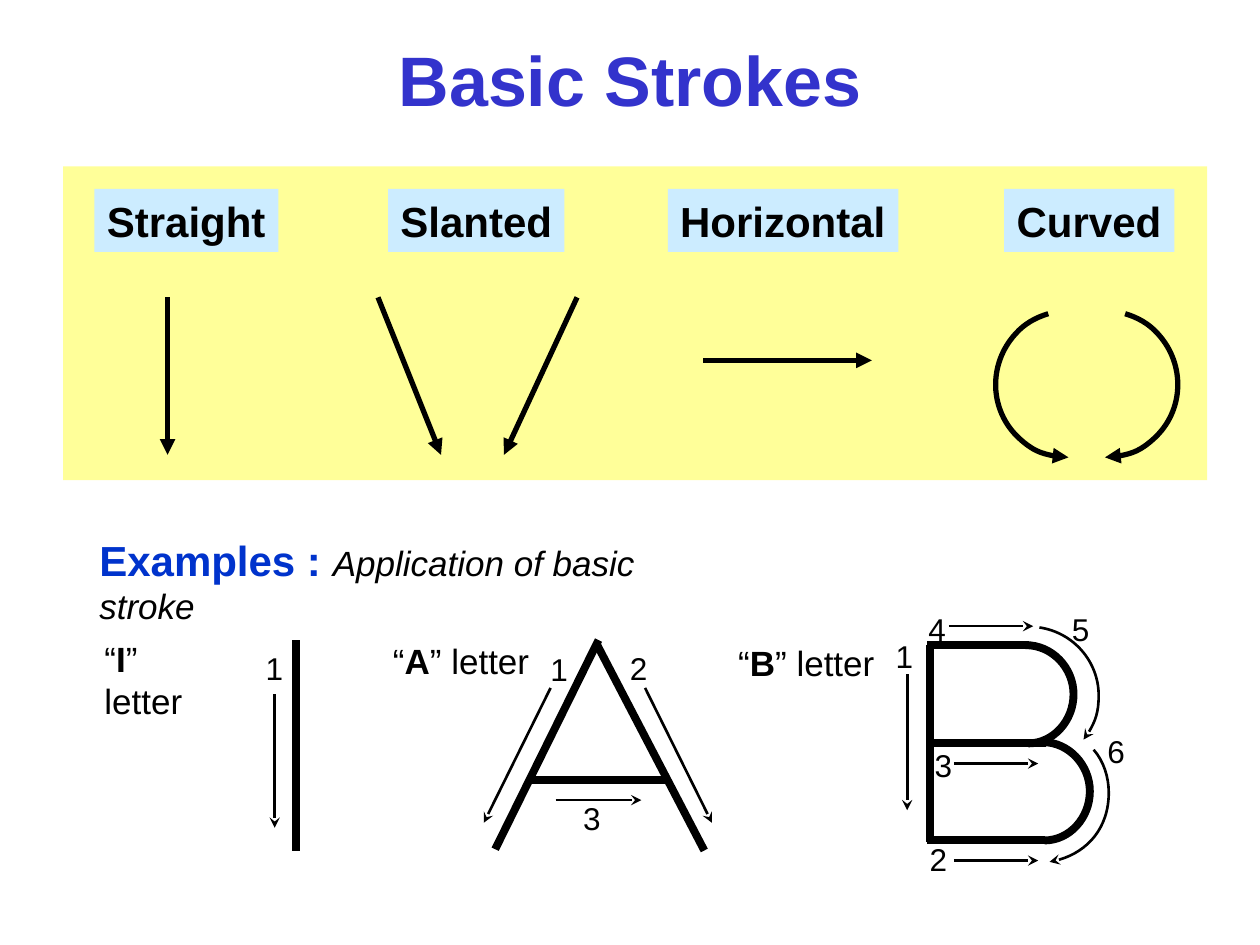
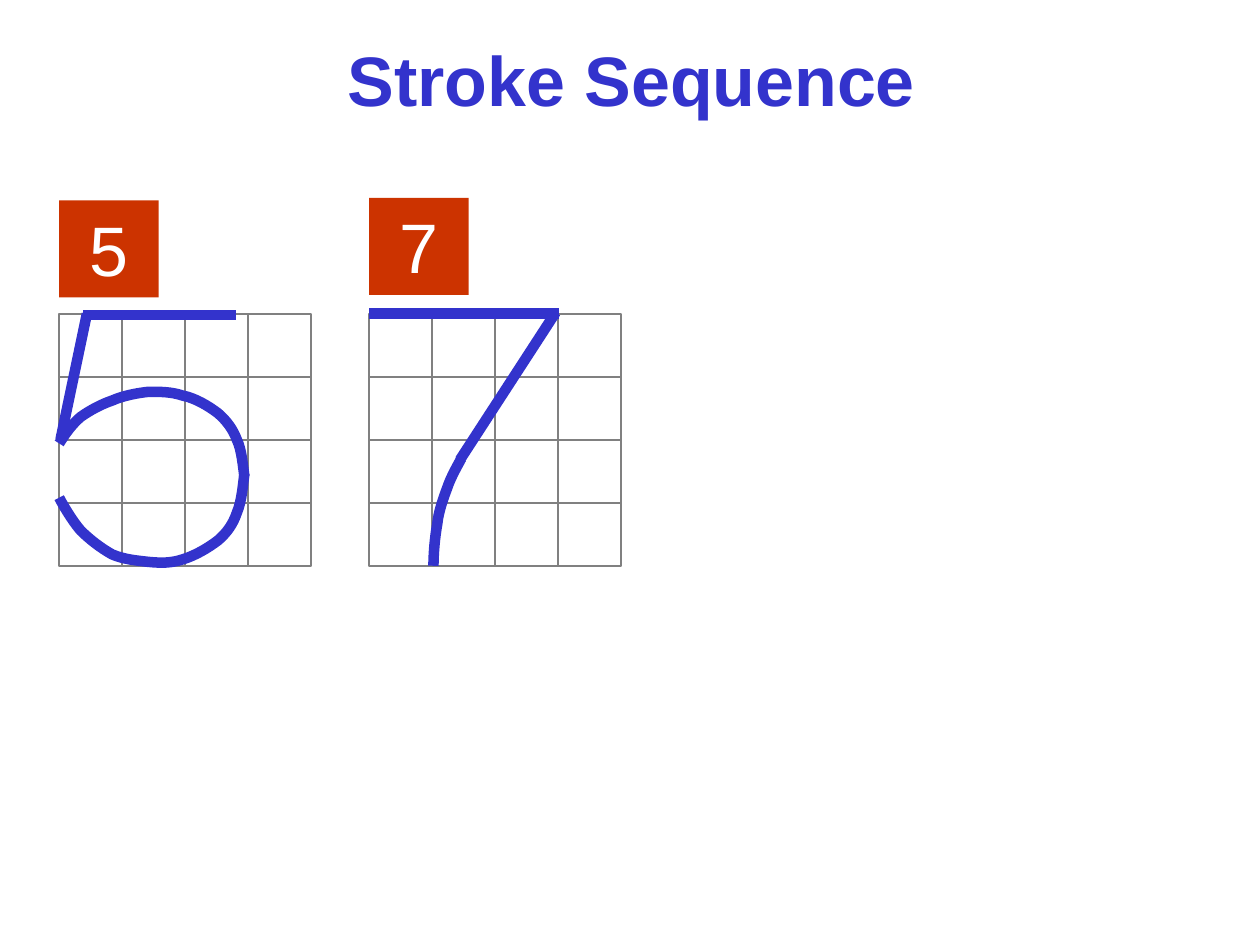
from lxml import etree
from pptx import Presentation
from pptx import util as u
from pptx.dml.color import RGBColor
from pptx.enum import shapes, text
from pptx.oxml.ns import qn

FONT = "Arial"
COLORS = {
    "title": "3333CC",
    "heading": "0033CC",
    "ink": "000000",
    "panel": "FFFF99",
    "label": "CCECFF",
    "badge": "CC3300",
    "white": "FFFFFF",
    "grid": "808080",
}
LEFT, CENTER = text.PP_ALIGN.LEFT, text.PP_ALIGN.CENTER
STRAIGHT = shapes.MSO_CONNECTOR.STRAIGHT
RECTANGLE = shapes.MSO_SHAPE.RECTANGLE


def style_line(shape, color, width, arrow=None):
    """Outline a shape or connector without shadow; arrow is the head at its end."""
    shape.line.color.rgb = RGBColor.from_string(COLORS[color])
    shape.line.width = u.Pt(width)
    properties = shape._element.spPr
    if arrow:
        etree.SubElement(properties.find(qn("a:ln")), qn("a:tailEnd"), type=arrow)
    etree.SubElement(properties, qn("a:effectLst"))


def write(shape, runs, wrap=False, align=LEFT, anchor=text.MSO_ANCHOR.TOP):
    """Fill a shape with runs of (words, size, color, bold, italic)."""
    frame = shape.text_frame
    frame.word_wrap = wrap
    frame.vertical_anchor = anchor
    paragraph = frame.paragraphs[0]
    paragraph.alignment = align
    for words, size, color, bold, italic in runs:
        run = paragraph.add_run()
        run.text = words
        run.font.name = FONT
        run.font.size = u.Pt(size)
        run.font.bold = bold
        run.font.italic = italic
        run.font.color.rgb = RGBColor.from_string(COLORS[color])


presentation = Presentation()
presentation.slide_width = u.Inches(10)
presentation.slide_height = u.Inches(7.5)

slides = []
for title, left in (("Basic Strokes", 0.75), ("Stroke Sequence", 0.76)):
    slide = presentation.slides.add_slide(presentation.slide_layouts[6])
    box = slide.shapes.add_textbox(u.Inches(left), 0, u.Inches(8.5), u.Inches(1.25))
    write(box, [(title, 40, "title", True, False)], True, CENTER, text.MSO_ANCHOR.MIDDLE)
    slides.append(slide)
strokes_slide, sequence_slide = slides

# Slide 1: the four basic strokes
panel = strokes_slide.shapes.add_shape(
    RECTANGLE, u.Inches(0.5), u.Inches(1.32), u.Inches(9.08), u.Inches(2.49))
panel.shadow.inherit = False
panel.fill.solid()
panel.fill.fore_color.rgb = RGBColor.from_string(COLORS["panel"])
panel.line.fill.background()

for name, left, width in (
    ("Straight", 0.75, 1.46),
    ("Slanted", 3.08, 1.4),
    ("Horizontal", 5.3, 1.83),
    ("Curved", 7.97, 1.35),
):
    label = strokes_slide.shapes.add_shape(
        RECTANGLE, u.Inches(left), u.Inches(1.5), u.Inches(width), u.Inches(0.5))
    label.shadow.inherit = False
    label.fill.solid()
    label.fill.fore_color.rgb = RGBColor.from_string(COLORS["label"])
    label.line.fill.background()
    write(label, [(name, 24, "ink", True, False)])

# Straight strokes as (x1, y1, x2, y2), grouped by line width and arrowhead
line_groups = (
    (3, "triangle", (  # basic strokes
        (1.33, 2.36, 1.33, 3.61),
        (3, 2.36, 3.5, 3.61),
        (4.58, 2.36, 4, 3.61),
        (5.58, 2.86, 6.92, 2.86),
    )),
    (4.5, None, (  # letters I, A and B
        (2.35, 5.08, 2.35, 6.75),
        (4.75, 5.08, 3.93, 6.74),
        (4.73, 5.1, 5.59, 6.75),
        (4.2, 6.19, 5.29, 6.19),
        (7.38, 5.12, 7.38, 6.68),
        (7.36, 6.67, 8.29, 6.67),
        (7.36, 5.9, 8.3, 5.9),
        (7.36, 5.12, 8.17, 5.12),
    )),
    (1.5, "stealth", (  # writing directions
        (2.18, 5.51, 2.18, 6.57),
        (4.37, 5.46, 3.84, 6.53),
        (5.12, 5.46, 5.65, 6.53),
        (4.41, 6.35, 5.09, 6.35),
        (7.2, 5.35, 7.2, 6.43),
        (7.57, 6.83, 8.24, 6.83),
        (7.57, 6.06, 8.24, 6.06),
        (7.53, 4.97, 8.2, 4.97),
    )),
)
for width, arrow, lines in line_groups:
    for ends in lines:
        stroke = strokes_slide.shapes.add_connector(STRAIGHT, *map(u.Inches, ends))
        style_line(stroke, "ink", width, arrow)

for number, left, top in (
    ("1", 2.01, 5.1),
    ("1", 4.27, 5.11), ("2", 4.9, 5.1), ("3", 4.53, 6.29),
    ("1", 7.01, 5.01), ("2", 7.28, 6.62), ("3", 7.32, 5.87),
    ("4", 7.27, 4.79), ("5", 8.41, 4.79), ("6", 8.69, 5.76),
):
    box = strokes_slide.shapes.add_textbox(
        u.Inches(left), u.Inches(top), u.Inches(0.34), u.Inches(0.4))
    write(box, [(number, 18, "ink", False, False)])

examples = strokes_slide.shapes.add_textbox(
    u.Inches(0.69), u.Inches(4.19), u.Inches(5.1), u.Inches(0.5))
write(examples, [
    ("Examples : ", 24, "heading", True, False),
    ("Application of basic stroke", 20, "ink", False, True),
], wrap=True)

for letter, left, top, width, wrap in (
    ("I", 0.73, 5.01, 1.15, True),
    ("A", 3.02, 5.03, 1.28, False),
    ("B", 5.76, 5.04, 1.28, False),
):
    box = strokes_slide.shapes.add_textbox(
        u.Inches(left), u.Inches(top), u.Inches(width), u.Inches(0.43))
    write(box, [
        ("“", 20, "ink", False, False),
        (letter, 20, "ink", True, False),
        ("” letter", 20, "ink", False, False),
    ], wrap)

# Slide 2: digits on a four by four grid
CELL, GRID_TOP, GRID_SIZE = 0.5, 2.49, 2
for digit, left, badge_top in (("5", 0.47, 1.59), ("7", 2.93, 1.57)):
    badge = sequence_slide.shapes.add_shape(
        RECTANGLE, u.Inches(left), u.Inches(badge_top), u.Inches(0.79), u.Inches(0.77))
    badge.shadow.inherit = False
    badge.fill.solid()
    badge.fill.fore_color.rgb = RGBColor.from_string(COLORS["badge"])
    badge.line.fill.background()
    write(badge, [(digit, 40, "white", False, False)], True, CENTER)

    grid = sequence_slide.shapes.add_group_shape()
    frame = grid.shapes.add_shape(
        RECTANGLE, u.Inches(left), u.Inches(GRID_TOP), u.Inches(GRID_SIZE), u.Inches(GRID_SIZE))
    frame.fill.background()
    style_line(frame, "grid", 1)
    for step in (1, 2, 3):
        x, y = left + step * CELL, GRID_TOP + step * CELL
        for ends, first_side, last_side in (
            ((x, GRID_TOP, x, GRID_TOP + GRID_SIZE), 0, 2),
            ((left, y, left + GRID_SIZE, y), 1, 3),
        ):
            rule = grid.shapes.add_connector(STRAIGHT, *map(u.Inches, ends))
            if step == 2:
                rule.begin_connect(frame, first_side)
                rule.end_connect(frame, last_side)
            style_line(rule, "grid", 1)

for ends in (
    (0.66, 2.5, 1.87, 2.5),
    (0.69, 2.49, 0.48, 3.49),
    (2.93, 2.49, 4.44, 2.49),
    (4.41, 2.48, 3.65, 3.65),
):
    stroke = sequence_slide.shapes.add_connector(STRAIGHT, *map(u.Inches, ends))
    style_line(stroke, "title", 6)

# Curved strokes: a start point, then three Bézier points for each segment
right_curve = ((8.93, 2.49), (9.03, 2.52), (9.12, 2.57), (9.19, 2.65), (9.41, 2.89),
               (9.4, 3.26), (9.16, 3.48), (9.05, 3.58), (8.91, 3.63), (8.77, 3.63))
MIRROR_AXIS = 8.63
left_curve = [(2 * MIRROR_AXIS - x - 0.01, y) for x, y in right_curve]
five_top = ((0.47, 3.52), (0.52, 3.44), (0.57, 3.37), (0.64, 3.31),
            (0.71, 3.26), (0.8, 3.21), (0.89, 3.18), (0.98, 3.14), (1.09, 3.12), (1.18, 3.11),
            (1.28, 3.11), (1.36, 3.11), (1.45, 3.14), (1.55, 3.16), (1.65, 3.22), (1.73, 3.28),
            (1.8, 3.34), (1.85, 3.41), (1.88, 3.49), (1.92, 3.57), (1.93, 3.72), (1.94, 3.78))
five_bottom = ((0.47, 3.95), (0.49, 3.99), (0.57, 4.13), (0.64, 4.21),
               (0.71, 4.28), (0.8, 4.35), (0.89, 4.4), (0.98, 4.44), (1.09, 4.45), (1.18, 4.46),
               (1.28, 4.47), (1.36, 4.47), (1.45, 4.44), (1.55, 4.41), (1.65, 4.35), (1.73, 4.29),
               (1.8, 4.23), (1.85, 4.16), (1.88, 4.07), (1.92, 3.98), (1.93, 3.83), (1.94, 3.76))
seven_stem = ((3.66, 3.64), (3.64, 3.68), (3.58, 3.78), (3.55, 3.87), (3.52, 3.95),
              (3.48, 4.06), (3.47, 4.16), (3.45, 4.27), (3.44, 4.4), (3.44, 4.49))
upper_bowl = ((8.14, 5.12), (8.35, 5.12), (8.52, 5.3), (8.52, 5.51),
              (8.52, 5.72), (8.36, 5.9), (8.16, 5.9))
lower_bowl = ((8.28, 5.89), (8.48, 5.89), (8.65, 6.07), (8.65, 6.28),
              (8.65, 6.49), (8.49, 6.67), (8.29, 6.67))
upper_direction = ((8.25, 4.98), (8.52, 5.02), (8.72, 5.25), (8.72, 5.52),
                   (8.72, 5.65), (8.68, 5.77), (8.6, 5.87))
lower_direction = ((8.68, 5.95), (8.76, 6.04), (8.8, 6.17), (8.8, 6.29),
                   (8.8, 6.57), (8.6, 6.8), (8.33, 6.84))
for slide, color, width, arrow, curves in (
    (strokes_slide, "ink", 3, "triangle", (left_curve, right_curve)),
    (strokes_slide, "ink", 4.5, None, (upper_bowl, lower_bowl)),
    (strokes_slide, "ink", 1.5, "stealth", (upper_direction, lower_direction)),
    (sequence_slide, "title", 6, None, (five_top, five_bottom, seven_stem)),
):
    for points in curves:
        start, *rest = [(u.Inches(x), u.Inches(y)) for x, y in points]
        builder = slide.shapes.build_freeform(*start)
        builder.add_line_segments(rest, close=False)
        curve = builder.convert_to_shape()
        curve.fill.background()
        style_line(curve, color, width, arrow)
        # Join each three line segments into one cubic segment
        outline = next(curve._element.iter(qn("a:path")))
        segments = outline.findall(qn("a:lnTo"))
        for index in range(0, len(segments), 3):
            cubic = etree.SubElement(outline, qn("a:cubicBezTo"))
            for segment in segments[index:index + 3]:
                cubic.append(segment[0])
                outline.remove(segment)

presentation.save("out.pptx")
